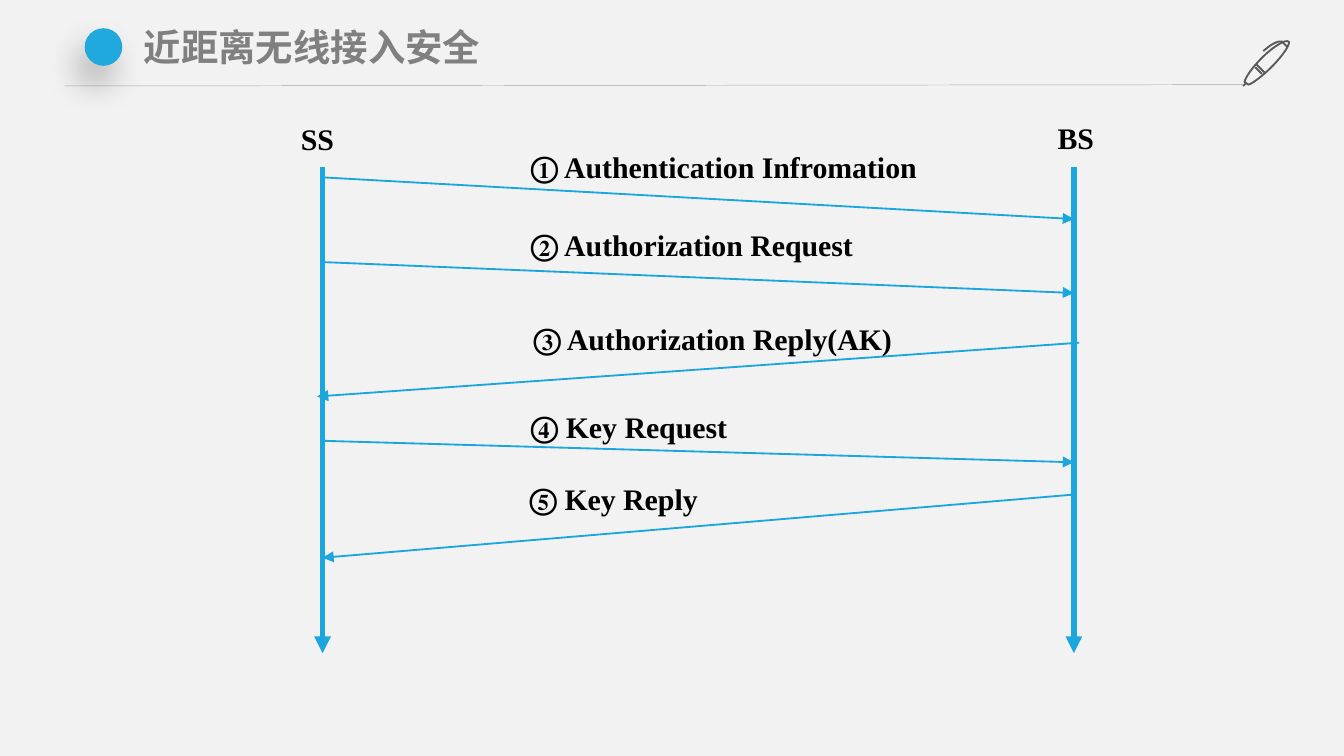
from dataclasses import dataclass

from lxml import etree
from pptx import Presentation
from pptx.dml.color import RGBColor
from pptx.enum.shapes import MSO_CONNECTOR, MSO_SHAPE
from pptx.enum.text import MSO_AUTO_SIZE
from pptx.oxml.ns import qn
from pptx.util import Inches, Pt

STRAIGHT = MSO_CONNECTOR.STRAIGHT
ELLIPSE = MSO_SHAPE.OVAL
GROW = MSO_AUTO_SIZE.SHAPE_TO_FIT_TEXT

WIDTH = Inches(10)
HEIGHT = WIDTH * 9 // 16
# A grid of square cells, 100 columns wide
CELL = WIDTH / 100


@dataclass(frozen=True)
class Theme:
    background: str = "F2F2F2"
    accent: str = "1BA7DD"
    dot: str = "20A9DD"
    title: str = "808080"
    text: str = "000000"
    rule: str = "A6A6A6"
    pen: str = "595959"
    shadow: str = "000000"
    title_font: str = "Noto Sans CJK SC"
    label_font: str = "Times New Roman"
    title_size: int = 20
    label_size: int = 16


THEME = Theme()

SS_COLUMN, BS_COLUMN = 24, 79.9
LIFELINE_ROWS = (12.4, 48.6)
LABEL_HEIGHT = 3.7

# Party name, lifeline column, label column, label row, label width
PARTIES = [
    ("SS", SS_COLUMN, 21.4, 8.5, 4.5),
    ("BS", BS_COLUMN, 77.7, 8.4, 4.8),
]

# Text, label column, row and width, then arrow start and end
MESSAGES = [
    ("① Authentication Infromation", 38.5, 10.6, 31.3, (SS_COLUMN, 13.2), (BS_COLUMN, 16.3)),
    ("② Authorization Request", 38.5, 16.4, 26.5, (SS_COLUMN, 19.5), (BS_COLUMN, 21.8)),
    ("③ Authorization Reply(AK)", 38.7, 23.4, 29.2, (80.3, 25.5), (23.6, 29.5)),
    ("④ Key Request", 38.5, 29.9, 17, (SS_COLUMN, 32.8), (BS_COLUMN, 34.4)),
    ("⑤ Key Reply", 38.4, 35.3, 14.9, (BS_COLUMN, 36.8), (SS_COLUMN, 41.5)),
]

# Each stroke is a start point and cubic segments, or just two points for a line
PEN_STROKES = [
    [(93.9, 5.5), (93.4, 5)],
    [(93.5, 4.8), (94.1, 5.4)],
    [(95.9, 3.1), (95.7, 2.9), (94.8, 3.4), (93.9, 4.3),
     (93.2, 5), (92.7, 5.7), (92.6, 6.1),
     (92.6, 6.1), (92.9, 6.3), (92.9, 6.3),
     (93.2, 6.2), (93.9, 5.7), (94.6, 5),
     (95.5, 4.1), (96, 3.3), (95.9, 3.1)],
    [(92.7, 6.2), (92.5, 6.4)],
    [(95.8, 3.5), (95.8, 3.5), (95.6, 3.3), (95.4, 3.1),
     (95.4, 3.1), (95, 2.9), (94, 3.8)],
]


def cells(*counts):
    return [round(count * CELL) for count in counts]


def color(value):
    return RGBColor.from_string(value)


def add_line(slide, start, end, line_color, weight, arrow=False):
    line = slide.shapes.add_connector(STRAIGHT, *cells(*start, *end))
    line.line.color.rgb = color(line_color)
    line.line.width = Pt(weight)
    if arrow:
        etree.SubElement(line.line._get_or_add_ln(), qn("a:tailEnd"), type="triangle")
    etree.SubElement(line._element.spPr, qn("a:effectLst"))


def add_text(slide, text, box, font_name, size, text_color):
    """Add one bold line of text and return its text frame."""
    frame = slide.shapes.add_textbox(*cells(*box)).text_frame
    frame.text = text
    frame.word_wrap = False
    frame.auto_size = GROW
    font = frame.paragraphs[0].runs[0].font
    font.name = font_name
    font.size = Pt(size)
    font.bold = True
    font.color.rgb = color(text_color)
    return frame


def add_label(slide, text, column, row, width):
    add_text(slide, text, (column, row, width, LABEL_HEIGHT),
             THEME.label_font, THEME.label_size, THEME.text)


def add_title(slide, title):
    frame = add_text(slide, title, (9.8, 1.4, 82.7, 4.3),
                     THEME.title_font, THEME.title_size, THEME.title)
    frame.word_wrap = True
    frame.margin_left = frame.margin_right = Inches(0.09)
    frame.margin_top = frame.margin_bottom = Inches(0.04)
    font = frame.paragraphs[0].runs[0].font
    etree.SubElement(font._element, qn("a:ea"), typeface=THEME.title_font)


def add_soft_shadow(shape):
    effects = etree.SubElement(shape._element.spPr, qn("a:effectLst"))
    shadow = etree.SubElement(
        effects, qn("a:outerShdw"), blurRad=str(Pt(18)), dist=str(Pt(11)),
        dir=str(113 * 60000), algn="ctr", rotWithShape="0")
    shade = etree.SubElement(shadow, qn("a:srgbClr"), val=THEME.shadow)
    etree.SubElement(shade, qn("a:alpha"), val="27000")


def add_dot(slide):
    dot = slide.shapes.add_shape(ELLIPSE, *cells(6.3, 2.1, 2.8, 2.8))
    dot.fill.solid()
    dot.fill.fore_color.rgb = color(THEME.dot)
    dot.line.fill.background()
    add_soft_shadow(dot)


def flatten(stroke, steps=8):
    """Return the points along a stroke, with its cubic curves sampled."""
    if len(stroke) == 2:
        return stroke
    points = [stroke[0]]
    for first in range(0, len(stroke) - 1, 3):
        controls = stroke[first:first + 4]
        for step in range(1, steps + 1):
            t = step / steps
            weights = ((1 - t) ** 3, 3 * t * (1 - t) ** 2, 3 * t * t * (1 - t), t ** 3)
            points.append(tuple(
                sum(weight * value for weight, value in zip(weights, axis))
                for axis in zip(*controls)))
    return points


def add_pen(slide):
    strokes = [[cells(*point) for point in flatten(stroke)] for stroke in PEN_STROKES]
    builder = slide.shapes.build_freeform(*strokes[0][0])
    builder.add_line_segments(strokes[0][1:], close=False)
    for start, *rest in strokes[1:]:
        builder.move_to(*start)
        builder.add_line_segments(rest, close=False)
    pen = builder.convert_to_shape()
    pen.shadow.inherit = False
    pen.fill.background()
    pen.line.color.rgb = color(THEME.pen)
    pen.line.width = Pt(1)


def add_header(slide, title):
    add_line(slide, (4.8, 6.4), (92.5, 6.3), THEME.rule, 0.25)
    add_pen(slide)
    add_dot(slide)
    add_title(slide, title)


def main():
    presentation = Presentation()
    presentation.slide_width, presentation.slide_height = WIDTH, HEIGHT
    slide = presentation.slides.add_slide(presentation.slide_layouts[6])
    slide.background.fill.solid()
    slide.background.fill.fore_color.rgb = color(THEME.background)

    add_header(slide, "近距离无线接入安全")
    top, bottom = LIFELINE_ROWS
    for name, lifeline, *place in PARTIES:
        add_line(slide, (lifeline, top), (lifeline, bottom), THEME.accent, 3, arrow=True)
        add_label(slide, name, *place)
    for text, column, row, width, start, end in MESSAGES:
        add_line(slide, start, end, THEME.accent, 1, arrow=True)
        add_label(slide, text, column, row, width)
    presentation.save("out.pptx")


if __name__ == "__main__":
    main()
